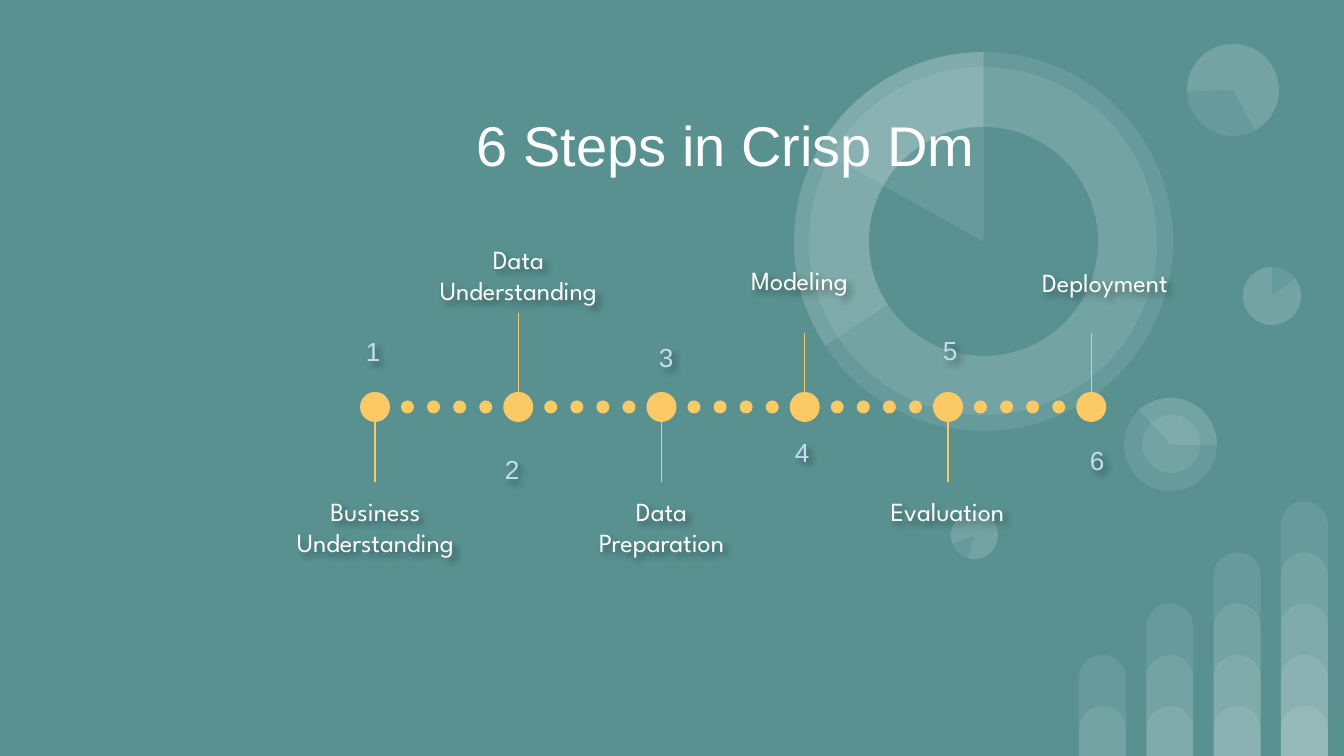
import pptx
import pptx.util
import pptx.dml.color
import pptx.enum.shapes
import pptx.enum.text
import pptx.oxml
import pptx.oxml.ns

SHAPE = pptx.enum.shapes.MSO_SHAPE
ANCHOR = pptx.enum.text.MSO_ANCHOR
ALIGN = pptx.enum.text.PP_ALIGN
NS = pptx.oxml.ns.nsdecls("a")
PX = 914400 / 134.4

TEAL, YELLOW, WHITE, PALE = "599191", "FCCA64", "FFFFFF", "C3DFF0"
VEIL = 9

TITLE = ("6 Steps in Crisp Dm", (464, 59, 567, 113))
STEPS = [
    {"label": ["Business", "Understanding"], "box": (233, 482, 285, 231),
     "number": (353, 321), "line": (422, 482)},
    {"label": ["Data", "Understanding"], "box": (376, 230, 285, 81),
     "number": (492, 439), "line": (313, 392)},
    {"label": ["Data", "Preparation"], "box": (531, 482, 261, 206),
     "number": (646, 327), "line": (422, 482)},
    {"label": ["Modeling"], "box": (657, 251, 285, 69),
     "number": (782, 422), "line": (333, 395)},
    {"label": ["Evaluation"], "box": (814, 482, 267, 86),
     "number": (930, 320), "line": (422, 482)},
    {"label": ["Deployment"], "box": (986, 253, 238, 79),
     "number": (1077, 430), "line": (333, 395)},
]
DISCS = [
    (1243, 267, 58, 0, None),
    (1243, 267, 58, 0, (193.77, 162)),
    (951, 512, 47, 196.2, None),
    (951, 512, 47, 196.2, (193.77, 162)),
    (1124, 398, 93, 90, None),
    (1124, 398, 93, 90, (82.45, 162.46)),
    (1142, 415, 58, 90, None),
    (1187, 44, 92, 215.9, None),
    (1187, 44, 92, 215.9, (193.77, 123.14)),
    (794, 52, 379, 0, None),
    (809, 67, 348, 34.1, None),
    (794, 52, 379, 0, (88.01, 162)),
    (869, 127, 229, 34.1, "hole"),
    (794, 52, 379, 0, (125.54, 162)),
]
BAR_X, BAR_PITCH, BAR_W, BAR_TOP, BAR_STEP = 1079, 67.3, 47, 706, 51.2
NODE_X, NODE_Y, NODE_PITCH, NODE_D = 375, 407, 143.25, 30
DOT_FIRST, DOT_PITCH, DOT_D = 32.5, 26.1, 13


def px(*values):
    return [round(v * PX) for v in values]


def rgb(color):
    return pptx.dml.color.RGBColor.from_string(color)


def add_filled(kind, x, y, w, h, color, alpha=None):
    sp = s.shapes.add_shape(kind, *px(x, y, w, h))
    sp.shadow.inherit = False
    sp.line.fill.background()
    sp.fill.solid()
    sp.fill.fore_color.rgb = rgb(color)
    if alpha:
        clr = sp.fill._xPr.find(".//" + pptx.oxml.ns.qn("a:srgbClr"))
        clr.append(pptx.oxml.parse_xml(f'<a:alpha {NS} val="{alpha * 1000}"/>'))
    return sp


def add_circle(cx, cy, d, color):
    add_filled(SHAPE.FLOWCHART_CONNECTOR, cx - d / 2, cy - d / 2, d, d, color)


def add_text(lines, box, size, font, color, align=ALIGN.LEFT,
             anchor=ANCHOR.TOP, top=13, shadow=True):
    sp = s.shapes.add_textbox(*px(*box))
    tf = sp.text_frame
    tf.word_wrap = True
    tf.vertical_anchor = anchor
    tf.margin_left, tf.margin_top, tf.margin_right, tf.margin_bottom = px(13, top, 13, 13)
    tf.text = "\n".join(lines)
    for p in tf.paragraphs:
        p.alignment = align
        for r in p.runs:
            r.font.size = pptx.util.Pt(size)
            r.font.name = font
            r.font.color.rgb = rgb(color)
    if shadow:
        sp._element.spPr.append(pptx.oxml.parse_xml(
            f'<a:effectLst {NS}><a:outerShdw blurRad="50800" dist="38100" '
            'dir="2700000" algn="tl" rotWithShape="0"><a:srgbClr val="000000">'
            '<a:alpha val="40000"/></a:srgbClr></a:outerShdw></a:effectLst>'))


def add_line(x, y1, y2):
    c = s.shapes.add_connector(
        pptx.enum.shapes.MSO_CONNECTOR.STRAIGHT, *px(x, y1, x, y2))
    c.line.color.rgb = rgb(YELLOW)
    c.line.width = pptx.util.Pt(0.75)
    c._element.spPr.append(pptx.oxml.parse_xml(f"<a:effectLst {NS}/>"))


prs = pptx.Presentation()
prs.slide_width, prs.slide_height = px(1344, 756)
s = prs.slides.add_slide(prs.slide_layouts[6])
s.background.fill.solid()
s.background.fill.fore_color.rgb = rgb(TEAL)

for column in range(4):
    for level in range(column + 2):
        y = BAR_TOP - level * BAR_STEP
        bar = add_filled(SHAPE.ROUND_2_SAME_RECTANGLE, BAR_X + column * BAR_PITCH,
                         y, BAR_W, 756 - y, WHITE, VEIL)
        bar.adjustments[0] = 0.5

for x, y, d, rotation, cut in DISCS:
    if cut == "hole":
        sp = add_filled(SHAPE.OVAL, x, y, d, d, TEAL)
    elif cut:
        sp = add_filled(SHAPE.PIE, x, y, d, d, WHITE, VEIL)
        sp.adjustments[0], sp.adjustments[1] = cut
    else:
        sp = add_filled(SHAPE.OVAL, x, y, d, d, WHITE, VEIL)
    sp.rotation = rotation

nodes = [NODE_X + i * NODE_PITCH for i in range(len(STEPS))]
for x in nodes:
    add_circle(x, NODE_Y, NODE_D, YELLOW)
for x in nodes[:-1]:
    for i in range(4):
        add_circle(x + DOT_FIRST + i * DOT_PITCH, NODE_Y, DOT_D, YELLOW)

title, box = TITLE
add_text([title], box, 30, "Arial", WHITE, top=52, shadow=False)
for i, (x, step) in enumerate(zip(nodes, STEPS), 1):
    add_text([str(i)], (*step["number"], 87, 60), 14, "Arial", PALE,
             anchor=ANCHOR.MIDDLE)
    add_text(step["label"], step["box"], 14, "League Spartan", WHITE, ALIGN.CENTER)
    add_line(x, *step["line"])

prs.save("out.pptx")
